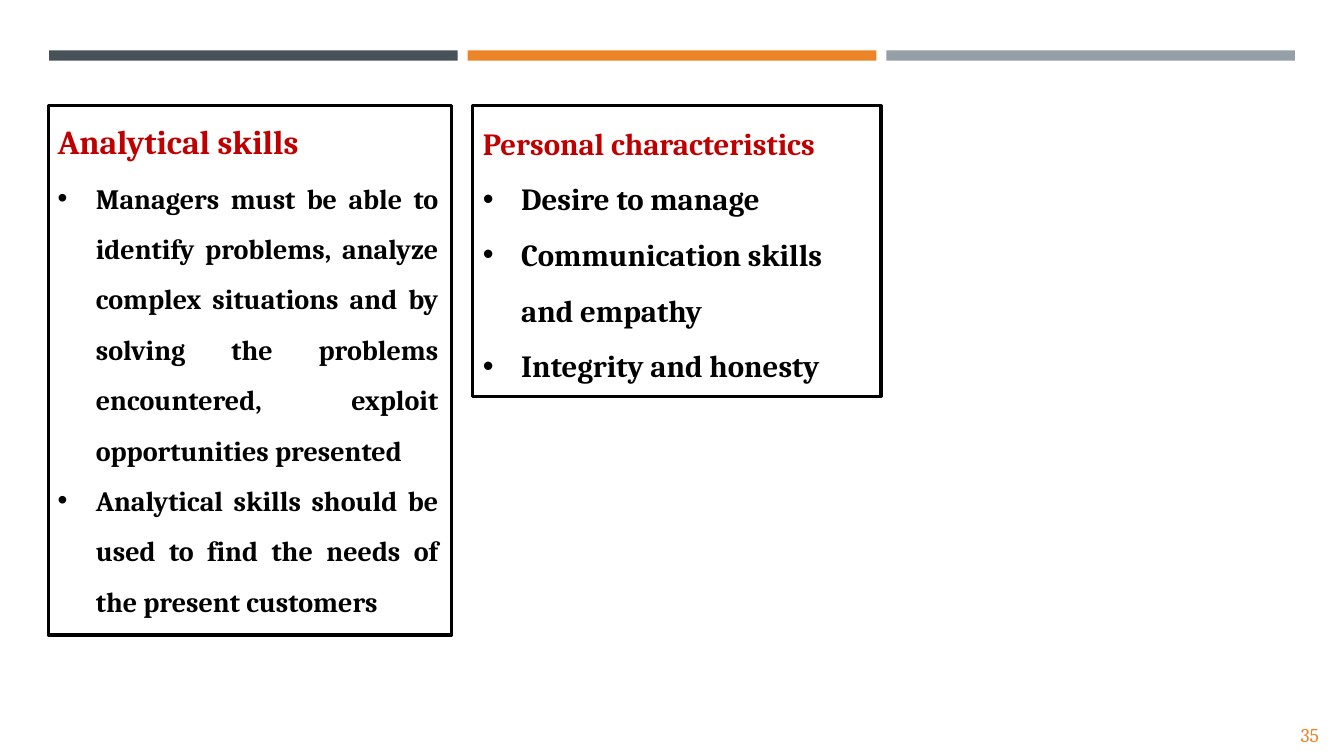
"""Build a slide on analytical skills and personal characteristics."""
from dataclasses import dataclass
from typing import NamedTuple

from lxml.etree import SubElement
from pptx import Presentation
from pptx.dml.color import RGBColor
from pptx.enum.shapes import MSO_SHAPE
from pptx.enum.text import MSO_ANCHOR, MSO_AUTO_SIZE, PP_ALIGN
from pptx.oxml.ns import qn
from pptx.util import Inches, Pt

WIDE, HIGH = Inches(13.33), Inches(7.5)


class Spot(NamedTuple):
    left: float
    top: float
    width: float
    height: float


@dataclass(frozen=True)
class Theme:
    font: str = "Cambria"
    ink: str = "000000"
    red: str = "C00000"
    slate: str = "465258"
    orange: str = "EC8428"
    gray: str = "959FA7"
    title: float = 24
    list: float = 20
    trait: float = 22
    page: float = 14
    edge: float = 2.28


@dataclass(frozen=True)
class Line:
    text: str
    size: float
    color: str = "000000"
    bold: bool = True
    bullet: bool = False
    align: PP_ALIGN = PP_ALIGN.LEFT
    pitch: float = 0


THEME = Theme()
FRAME = Spot(3.6, 14, 30, 70)
TITLE = Spot(4.28, 16, 18.4, 5.7)
SKILLS = Spot(4.28, 21.73, 28.35, 61)
TRAITS = Spot(35.18, 14, 30.38, 38.4)
PAGE = Spot(96.77, 95.6, 2.4, 3.5)
BAR = Spot(3.65, 6.67, 30.4, 1.35)
STEP = 31.15


def place(shape, spot: Spot) -> None:
    shape.left, shape.width = (int(WIDE * n / 100) for n in (spot.left, spot.width))
    shape.top, shape.height = (int(HIGH * n / 100) for n in (spot.top, spot.height))


def outline(shape) -> None:
    shape.line.color.rgb = RGBColor.from_string(THEME.ink)
    shape.line.width = Pt(THEME.edge)


def block(slide, spot: Spot):
    shape = slide.shapes.add_shape(MSO_SHAPE.RECTANGLE, 0, 0, 0, 0)
    shape.shadow.inherit = False
    place(shape, spot)
    return shape


def style(para, line: Line) -> None:
    para.text = line.text
    para.alignment = line.align
    para.space_before = para.space_after = Pt(0)
    if line.pitch:
        para.line_spacing = Pt(line.pitch)
    props = para._p.get_or_add_pPr()
    hang = Inches(0.38) if line.bullet else 0
    props.set("marL", str(hang))
    props.set("indent", str(-hang))
    if line.bullet:
        SubElement(props, qn("a:buFont")).set("typeface", "Arial")
        SubElement(props, qn("a:buChar")).set("char", "•")
    else:
        SubElement(props, qn("a:buNone"))
    for run in para.runs:
        run.font.name = THEME.font
        run.font.size = Pt(line.size)
        run.font.bold = line.bold
        run.font.color.rgb = RGBColor.from_string(line.color)


def write(shape, spot: Spot, lines: list[Line], left: float = 0, right: float = 0) -> None:
    place(shape, spot)
    frame = shape.text_frame
    frame.word_wrap = True
    frame.auto_size = MSO_AUTO_SIZE.NONE
    frame.vertical_anchor = MSO_ANCHOR.TOP
    frame.margin_top = frame.margin_bottom = 0
    frame.margin_left = int(WIDE * left / 100)
    frame.margin_right = int(WIDE * right / 100)
    for index, line in enumerate(lines):
        style(frame.add_paragraph() if index else frame.paragraphs[0], line)


def main() -> None:
    deck = Presentation()
    deck.slide_width, deck.slide_height = WIDE, HIGH
    slide = deck.slides.add_slide(deck.slide_layouts[3])
    title, skills, traits = slide.placeholders

    for index, color in enumerate((THEME.slate, THEME.orange, THEME.gray)):
        bar = block(slide, BAR._replace(left=BAR.left + index * STEP))
        bar.fill.solid()
        bar.fill.fore_color.rgb = RGBColor.from_string(color)
        bar.line.fill.background()

    frame = block(slide, FRAME)
    frame.fill.background()
    outline(frame)

    write(title, TITLE, [Line("Analytical skills", THEME.title, THEME.red)])
    points = (
        "Managers must be able to identify problems, analyze complex situations and by "
        "solving the problems encountered, exploit opportunities presented",
        "Analytical skills should be used to find the needs of\vthe present customers",
    )
    write(skills, SKILLS, [
        Line(text, THEME.list, bullet=True, align=PP_ALIGN.JUSTIFY, pitch=36) for text in points
    ])

    names = ("Desire to manage", "Communication skills and empathy", "Integrity and honesty")
    head = Line("Personal characteristics", THEME.trait, THEME.red, pitch=39.7)
    write(traits, TRAITS, [head] + [
        Line(text, THEME.trait, bullet=True, pitch=39.7) for text in names
    ], left=0.75, right=3)
    outline(traits)

    page = slide.shapes.add_textbox(0, 0, 0, 0)
    write(page, PAGE, [Line("35", THEME.page, THEME.orange, bold=False)])
    deck.save("out.pptx")


if __name__ == "__main__":
    main()
